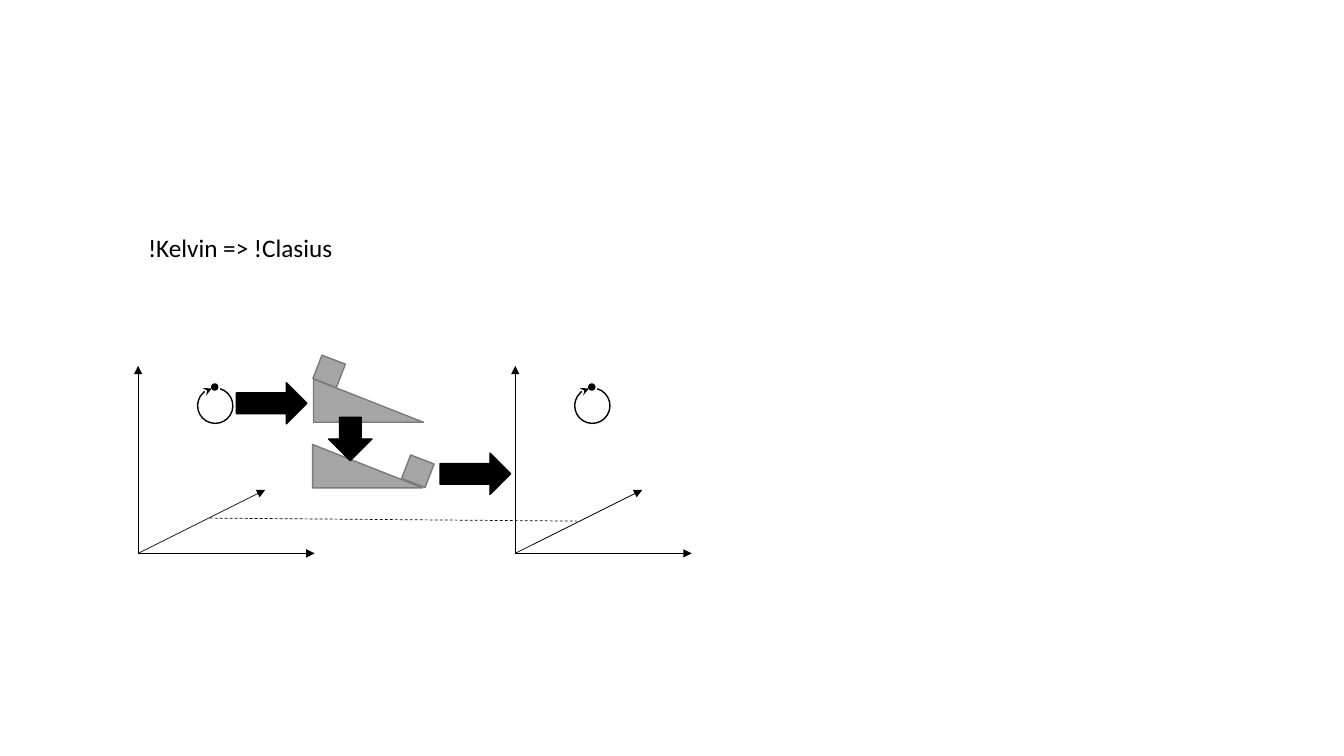
from lxml.etree import SubElement
from pptx import Presentation
from pptx.dml.color import RGBColor
from pptx.enum.dml import MSO_LINE
from pptx.enum.shapes import MSO_CONNECTOR, MSO_SHAPE as Preset
from pptx.oxml.ns import qn
from pptx.util import Inches, Pt

BLACK = RGBColor(0x00, 0x00, 0x00)
GRAY = RGBColor(0xA5, 0xA5, 0xA5)
DARK_GRAY = RGBColor(0x7A, 0x7A, 0x7A)


def add_text(frame, text, font="Calibri", size=18, color=BLACK):
    span = frame.paragraphs[0].add_run()
    span.text = text
    span.font.name = font
    span.font.size = Pt(size)
    span.font.color.rgb = color


def add_arrowhead(item, head):
    outline = item.element.find(qn("p:spPr")).find(qn("a:ln"))
    SubElement(outline, qn("a:tailEnd"), type=head)


class Sketch:
    """Draws on one page with a shared line style."""

    def __init__(self, page, outline=1, thin=0.5):
        self.page = page
        self.outline = Pt(outline)
        self.thin = Pt(thin)

    def shape(self, preset, left, top, width, height, fill=BLACK, line=BLACK,
              rotation=0, parent=None):
        shapes = (parent or self.page).shapes
        item = shapes.add_shape(preset, Inches(left), Inches(top),
                                Inches(width), Inches(height))
        item.shadow.inherit = False
        item.rotation = rotation
        if fill is None:
            item.fill.background()
        else:
            item.fill.solid()
            item.fill.fore_color.rgb = fill
        item.line.color.rgb = line
        item.line.width = self.outline
        return item

    def line(self, start, end, head=None, dash=None):
        item = self.page.shapes.add_connector(
            MSO_CONNECTOR.STRAIGHT, *(Inches(value) for value in start + end))
        SubElement(item.element.find(qn("p:spPr")), qn("a:effectLst"))
        item.line.color.rgb = BLACK
        item.line.width = self.thin
        if dash:
            item.line.dash_style = dash
        if head:
            add_arrowhead(item, head)

    def axes(self, x, y):
        """Three axes from the origin (x, y), with a cycle above them."""
        for across, up in ((1.75, 0), (0, 1.86), (1.26, 0.63)):
            self.line((x, y), (x + across, y - up), head="triangle")
        self.shape(Preset.OVAL, x + 0.73, y - 1.68, 0.06, 0.06)
        cycle = self.shape(Preset.ARC, x + 0.59, y - 1.64, 0.35, 0.35,
                           fill=None, rotation=16.5)
        cycle.adjustments[0] = 162
        cycle.adjustments[1] = 145.468
        add_arrowhead(cycle, "stealth")

    def ramp(self, left, top, block_left, block_top):
        """A slope with a block resting on it."""
        group = self.page.shapes.add_group_shape()
        look = {"fill": GRAY, "line": DARK_GRAY, "parent": group}
        self.shape(Preset.RIGHT_TRIANGLE, left, top, 1.09, 0.43, **look)
        self.shape(Preset.RECTANGLE, block_left, block_top, 0.25, 0.25,
                   rotation=21.1, **look)

    def arrow(self, left, top, width, height, rotation=0):
        self.shape(Preset.DOWN_ARROW, left, top, width, height, rotation=rotation)

    def label(self, text, left, top, width, height):
        box = self.page.shapes.add_textbox(Inches(left), Inches(top),
                                           Inches(width), Inches(height))
        box.text_frame.word_wrap = True
        add_text(box.text_frame, text)


def main():
    deck = Presentation()
    deck.slide_width = Inches(13.33)
    deck.slide_height = Inches(7.5)
    sketch = Sketch(deck.slides.add_slide(deck.slide_layouts[6]))

    sketch.axes(1.37, 5.49)
    sketch.arrow(2.49, 3.65, 0.41, 0.7, rotation=270)
    sketch.ramp(3.11, 3.76, 3.14, 3.56)
    sketch.ramp(3.1, 4.41, 4.02, 4.55)
    sketch.arrow(4.51, 4.35, 0.41, 0.7, rotation=270)
    sketch.axes(5.11, 5.49)
    sketch.line((2.08, 5.14), (5.72, 5.17), dash=MSO_LINE.DASH)
    sketch.arrow(3.26, 4.14, 0.43, 0.43)
    sketch.label("!Kelvin => !Clasius", 1.37, 2.26, 4.28, 0.4)

    deck.save("out.pptx")


if __name__ == "__main__":
    main()
